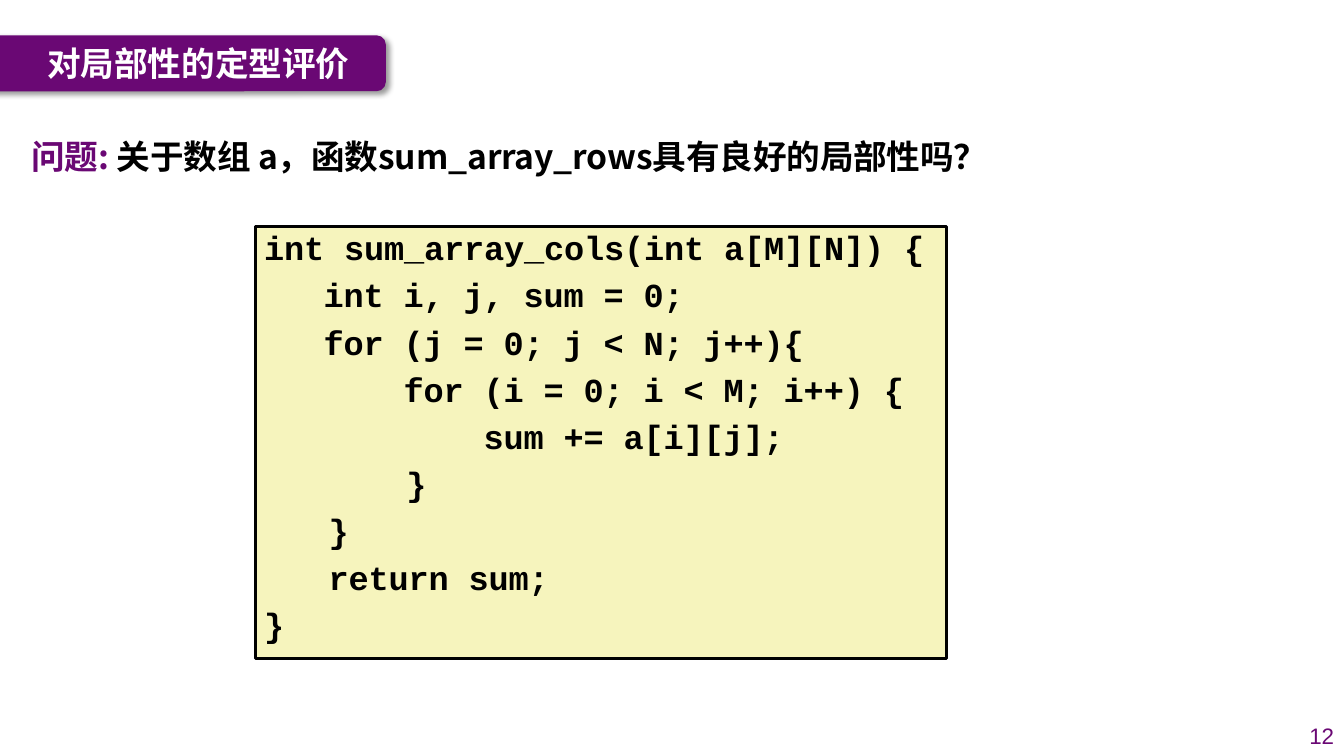
from dataclasses import dataclass

from lxml import etree
from pptx import Presentation
from pptx.dml import color
from pptx.enum import shapes, text
from pptx.oxml import ns
from pptx.util import Pt


@dataclass(frozen=True)
class Theme:
    plum: str = "6A0874"
    cream: str = "F6F4BD"
    black: str = "000000"
    white: str = "FFFFFF"
    sans: str = "Noto Sans CJK SC"
    mono: str = "Courier New"
    plain: str = "Arial"
    body: int = 24
    small: int = 16


def rgb(code):
    return color.RGBColor.from_string(code)


def put(target, values):
    for name, value in values.items():
        setattr(target, name, value)


def node(parent, tag, **attrs):
    return etree.SubElement(parent, ns.qn(tag), attrs)


class Deck:
    def __init__(self, theme):
        self.theme = theme
        self.file = Presentation()
        put(self.file, {"slide_width": Pt(960), "slide_height": Pt(540)})
        self.slide = self.file.slides.add_slide(self.file.slide_layouts[6])

    def shape(self, kind, place, fill, line=None):
        item = self.slide.shapes.add_shape(kind, *map(Pt, place))
        item.shadow.inherit = False
        item.fill.solid()
        item.fill.fore_color.rgb = rgb(fill)
        if line:
            item.line.color.rgb = rgb(line)
            item.line.width = Pt(2)
        else:
            item.line.fill.background()
        return item

    def shade(self, item):
        """Add a soft black shadow toward the lower right."""
        effects = item._element.spPr.find(ns.qn("a:effectLst"))
        outer = node(effects, "a:outerShdw", blurRad=str(Pt(4)), dist=str(Pt(3)),
                     dir="2700000", algn="tl", rotWithShape="0")
        tint = node(outer, "a:srgbClr", val=self.theme.black)
        node(tint, "a:alpha", val="40000")

    def box(self, place):
        return self.slide.shapes.add_textbox(*map(Pt, place))

    def frame(self, item, anchor, inset=None):
        frame = item.text_frame
        put(frame, {"word_wrap": True, "vertical_anchor": anchor})
        if inset:
            sides = ("left", "top", "right", "bottom")
            put(frame, {f"margin_{side}": Pt(gap) for side, gap in zip(sides, inset)})
        return frame

    def run(self, para, words, tint, face, size=None, bold=True, track=0):
        """Add a run; track is letter spacing in hundredths of a point."""
        run = para.add_run()
        run.text = words
        put(run.font, {"name": face, "size": Pt(size or self.theme.body), "bold": bold})
        run.font.color.rgb = rgb(tint)
        props = run._r.get_or_add_rPr()
        node(props, "a:ea", typeface=face)
        if track:
            props.set("spc", str(track))

    def title(self, words):
        look = self.theme
        bar = self.shape(shapes.MSO_SHAPE.ROUNDED_RECTANGLE,
                         (-14.4, 25.2, 290, 40), look.plum)
        self.shade(bar)
        frame = self.frame(self.box((26.6, 25.2, 241, 39.6)), text.MSO_ANCHOR.MIDDLE)
        self.run(frame.paragraphs[0], words, look.white, look.sans)

    def number(self, words):
        look = self.theme
        frame = self.frame(self.box((920, 511, 40, 29)), text.MSO_ANCHOR.MIDDLE)
        para = frame.paragraphs[0]
        para.alignment = text.PP_ALIGN.RIGHT
        self.run(para, words, look.plum, look.plain, look.small, False)

    def query(self, label, words):
        look = self.theme
        frame = self.frame(self.box((22.4, 82.8, 937.6, 38)),
                           text.MSO_ANCHOR.TOP, (0, 0, 0, 0))
        para = frame.paragraphs[0]
        para.line_spacing = 1.5
        for part, tint in ((label, look.plum), (words, look.black)):
            self.run(para, part, tint, look.sans, track=-10)

    def code(self, lines):
        """Draw a code panel from (left indent, line) pairs."""
        look = self.theme
        panel = self.shape(shapes.MSO_SHAPE.RECTANGLE, (182.2, 162, 494, 308.5),
                           look.cream, look.black)
        frame = self.frame(panel, text.MSO_ANCHOR.TOP, (0, 0.4, 0, 0))
        for row, (left, words) in enumerate(lines):
            para = frame.add_paragraph() if row else frame.paragraphs[0]
            put(para, {"alignment": text.PP_ALIGN.LEFT,
                       "space_before": Pt(look.body * 0.2 if row else 0)})
            para._p.get_or_add_pPr().set("marL", str(Pt(left)))
            self.run(para, words, look.black, look.mono, track=-10)


def main():
    deck = Deck(Theme())
    deck.title("对局部性的定型评价")
    deck.number("12")
    deck.query("问题: ", "关于数组 a，函数sum_array_rows具有良好的局部性吗？")
    deck.code([
        (6.5, "int sum_array_cols(int a[M][N]) {"),
        (49, "int i, j, sum = 0;"),
        (49, "for (j = 0; j < N; j++){"),
        (49, "    for (i = 0; i < M; i++) {"),
        (49, "        sum += a[i][j];"),
        (108, "}"),
        (52.6, "}"),
        (52.6, "return sum;"),
        (6.5, "}"),
    ])
    deck.file.save("out.pptx")


if __name__ == "__main__":
    main()
